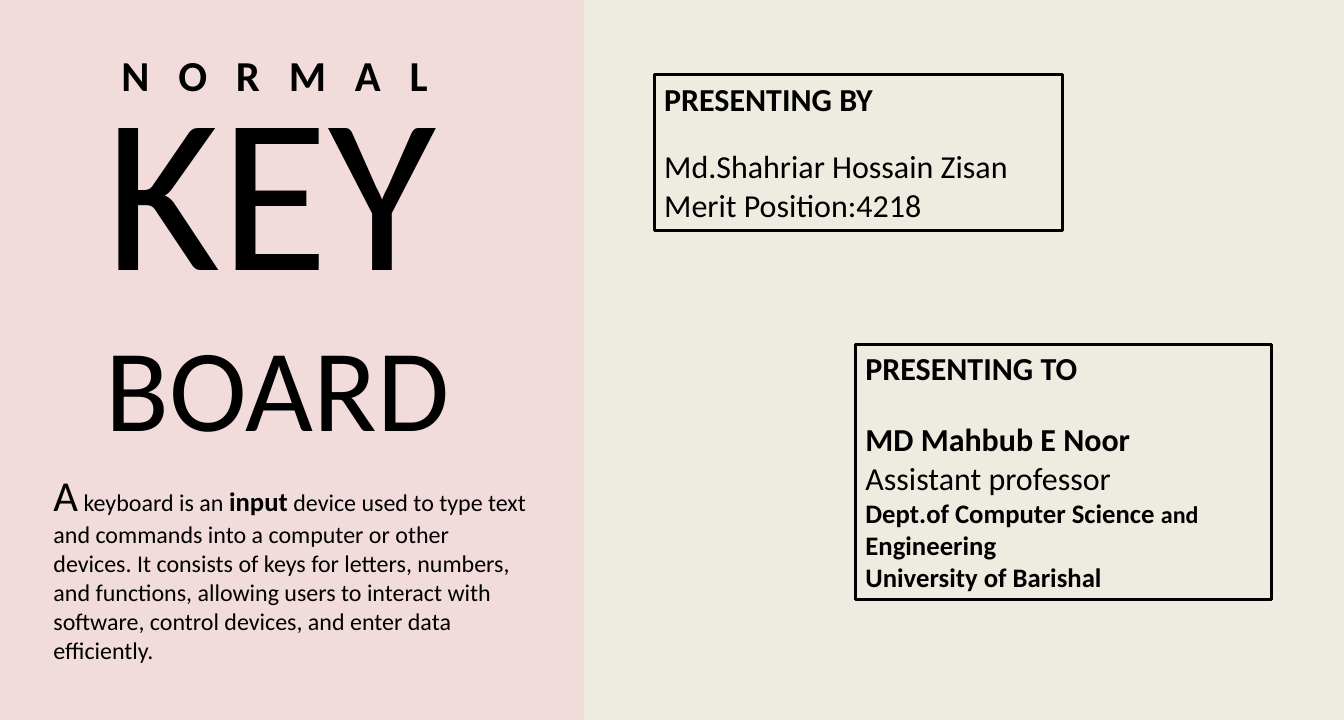
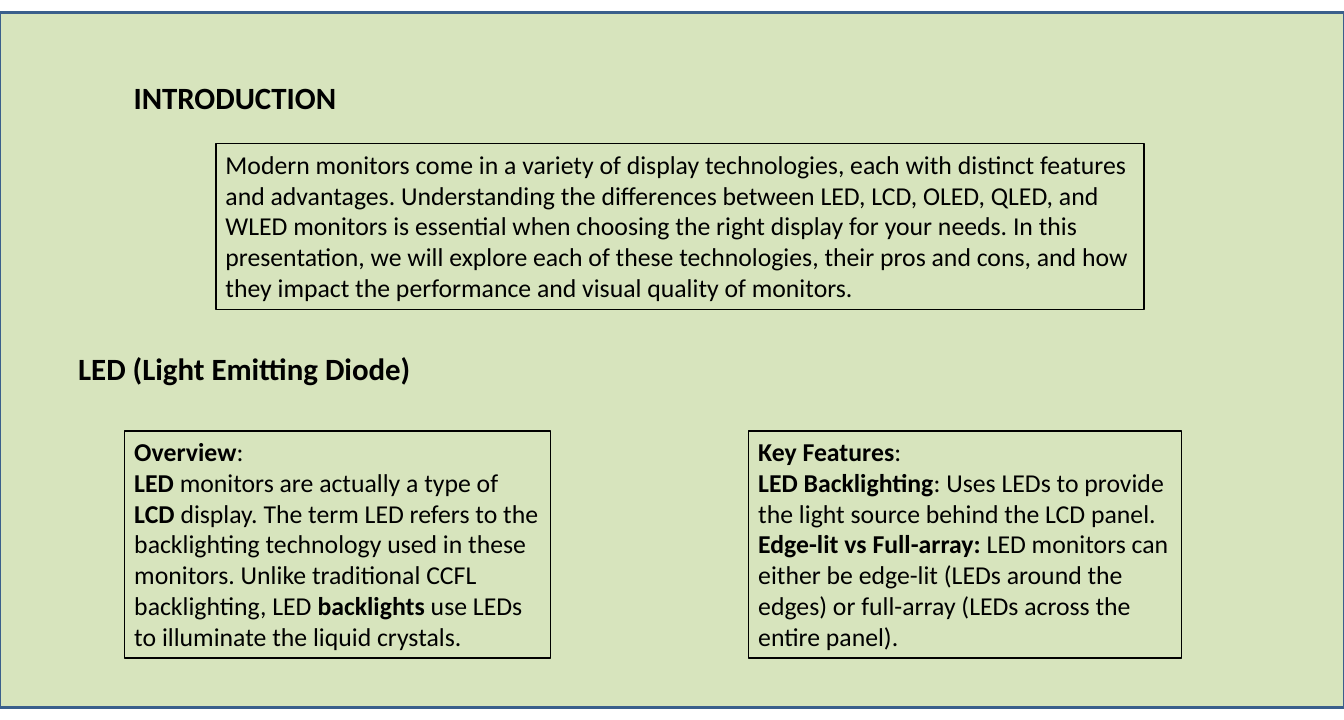
from dataclasses import dataclass

from pptx import Presentation
from pptx.dml.color import RGBColor
from pptx.enum.shapes import MSO_SHAPE
from pptx.enum.text import MSO_ANCHOR, MSO_AUTO_SIZE, PP_ALIGN
from pptx.util import Inches, Pt

RECTANGLE = MSO_SHAPE.RECTANGLE
TOP = MSO_ANCHOR.TOP
LEFT = PP_ALIGN.LEFT
NO_FIT = MSO_AUTO_SIZE.NONE
GROW = MSO_AUTO_SIZE.SHAPE_TO_FIT_TEXT

SLIDE_WIDTH, SLIDE_HEIGHT = 14, 7.5
CELLS_PER_INCH = 12
TITLE_ONLY = 5
FONT = "Calibri"
INK = "000000"
PINK = "F2DCDB"
IVORY = "EEECE1"
GREEN = "D7E4BD"
BLUE = "3A5F8C"
HEADING_SIZE, BODY_SIZE = 23.2, 19.3


@dataclass
class Box:
    column: float
    row: float
    columns: float
    rows: float

    def inner(self, column, row, columns, rows):
        return Box(self.column + column, self.row + row, columns, rows)

    def lengths(self):
        cells = (self.column, self.row, self.columns, self.rows)
        return [Inches(cell / CELLS_PER_INCH) for cell in cells]


@dataclass
class Line:
    runs: list
    size: float
    bold: bool = False
    gap_after: float = 0
    spacing: float = 0


@dataclass
class Span:
    text: str
    bold: bool | None = None
    size: float | None = None


SLIDE_BOX = Box(0, 0, SLIDE_WIDTH * CELLS_PER_INCH, SLIDE_HEIGHT * CELLS_PER_INCH)


def color(value):
    return RGBColor.from_string(value)


def write(shape, lines, auto_size=NO_FIT):
    frame = shape.text_frame
    frame.word_wrap = True
    frame.auto_size = auto_size
    frame.vertical_anchor = TOP
    for index, line in enumerate(lines):
        paragraph = frame.add_paragraph() if index else frame.paragraphs[0]
        paragraph.alignment = LEFT
        paragraph.space_after = Pt(line.gap_after)
        paragraph.font.name = FONT
        paragraph.font.size = Pt(line.size)
        paragraph.font.bold = line.bold
        paragraph.font.color.rgb = color(INK)
        for span in line.runs:
            run = paragraph.add_run()
            run.text = span.text
            run.font.color.rgb = color(INK)
            if span.bold is not None:
                run.font.bold = span.bold
            if span.size:
                run.font.size = Pt(span.size)
            if line.spacing:
                run._r.get_or_add_rPr().set("spc", str(round(line.spacing * 100)))


def add_panel(slide, box, fill=None, line=None, line_width=1):
    panel = slide.shapes.add_shape(RECTANGLE, *box.lengths())
    panel.shadow.inherit = False
    if fill:
        panel.fill.solid()
        panel.fill.fore_color.rgb = color(fill)
    else:
        panel.fill.background()
    if line:
        panel.line.color.rgb = color(line)
        panel.line.width = Pt(line_width)
    else:
        panel.line.fill.background()
    return panel


def add_card(slide, box, lines, line_width=1):
    write(add_panel(slide, box, line=INK, line_width=line_width), lines)


def add_text(slide, box, lines):
    write(slide.shapes.add_textbox(*box.lengths()), lines, GROW)


def place_title(slide, box, lines):
    title = slide.shapes.title
    title.left, title.top, title.width, title.height = box.lengths()
    write(title, lines)
    title.element.getparent().append(title.element)


def add_subject(slide, box):
    add_panel(slide, box, PINK)
    place_title(slide, box.inner(12, 5.5, 49, 52.5), [
        Line([Span("KEY")], 166),
        Line([Span("BOARD")], 88),
    ])
    add_text(slide, box.inner(5.5, 58, 62, 25.8), [Line([
        Span("A", size=32),
        Span(" keyboard is an "),
        Span("input", True, 20),
        Span(" device used to type text and commands into a computer or other devices. "
             "It consists of keys for letters, numbers, and functions, allowing users to "
             "interact with software, control devices, and enter data efficiently."),
    ], 18)])
    add_text(slide, box.inner(14, 5.5, 47, 7.7), [
        Line([Span("N O R M A L")], 32, True, spacing=7.2),
    ])


def add_people(slide, box):
    add_panel(slide, box, IVORY)
    add_card(slide, box.inner(8.84, 9.3, 51, 19.5), [
        Line([Span("PRESENTING BY")], 24, True, gap_after=22),
        Line([Span("Md.Shahriar Hossain Zisan")], 24),
        Line([Span("Merit Position:4218")], 24),
    ], 2.25)
    add_card(slide, box.inner(34, 43, 52, 32), [
        Line([Span("PRESENTING TO")], 24, True, gap_after=24.4),
        Line([Span("MD Mahbub E Noor")], 24, True),
        Line([Span("Assistant professor")], 24),
        Line([Span("Dept.of Computer Science "), Span("and ", size=18),
              Span("Engineering")], 20, True),
        Line([Span("University of Barishal")], 20, True),
    ], 2.25)


def build_cover(slide, box):
    split = 73
    add_subject(slide, box.inner(0, 0, split, box.rows))
    add_people(slide, box.inner(split, 0, box.columns - split, box.rows))


def add_introduction(slide, box):
    place_title(slide, box.inner(15.5, 7.7, 29, 5.9), [
        Line([Span("INTRODUCTION")], HEADING_SIZE, True),
    ])
    add_card(slide, box.inner(27, 16.4, 116, 20.7), [Line([Span(
        "Modern monitors come in a variety of display technologies, each with distinct "
        "features and advantages. Understanding the differences between LED, LCD, OLED, "
        "QLED, and WLED monitors is essential when choosing the right display for your "
        "needs. In this presentation, we will explore each of these technologies, their "
        "pros and cons, and how they impact the performance and visual quality of monitors."
    )], BODY_SIZE)])


def add_diode_section(slide, box):
    add_text(slide, box.inner(8.6, 0, 60, 5.9), [
        Line([Span("LED (Light Emitting Diode)")], HEADING_SIZE, True),
    ])
    overview = [
        [Span("Overview", True), Span(":")],
        [
            Span("LED", True),
            Span(" monitors are actually a type of "),
            Span("LCD", True),
            Span(" display. The term LED refers to the backlighting technology used in "
                 "these monitors. Unlike traditional CCFL backlighting, LED "),
            Span("backlights", True),
            Span(" use LEDs to illuminate the liquid crystals."),
        ],
    ]
    features = [
        [Span("Key Features", True), Span(":")],
        [
            Span("LED Backlighting", True),
            Span(": Uses LEDs to provide the light source behind the LCD panel."),
        ],
        [
            Span("Edge-lit vs Full-array: ", True),
            Span("LED monitors can either be edge-lit (LEDs around the edges) or "
                 "full-array (LEDs across the entire panel)."),
        ],
    ]
    for column, columns, paragraphs in ((15.6, 53.2, overview), (93.6, 54.1, features)):
        add_card(slide, box.inner(column, 10.7, columns, 28.4),
                 [Line(runs, BODY_SIZE) for runs in paragraphs])


def build_topic(slide, box):
    margin = 1.56
    panel = box.inner(0, margin, box.columns, box.rows - 2 * margin)
    add_panel(slide, panel, GREEN, BLUE, 2)
    section_row = 41.6
    add_introduction(slide, panel.inner(0, 0, panel.columns, section_row))
    add_diode_section(slide, panel.inner(0, section_row, panel.columns,
                                         panel.rows - section_row))


def main():
    presentation = Presentation()
    presentation.slide_width = Inches(SLIDE_WIDTH)
    presentation.slide_height = Inches(SLIDE_HEIGHT)
    for build in (build_cover, build_topic):
        slide = presentation.slides.add_slide(presentation.slide_layouts[TITLE_ONLY])
        build(slide, SLIDE_BOX)
    presentation.save("out.pptx")


if __name__ == "__main__":
    main()
